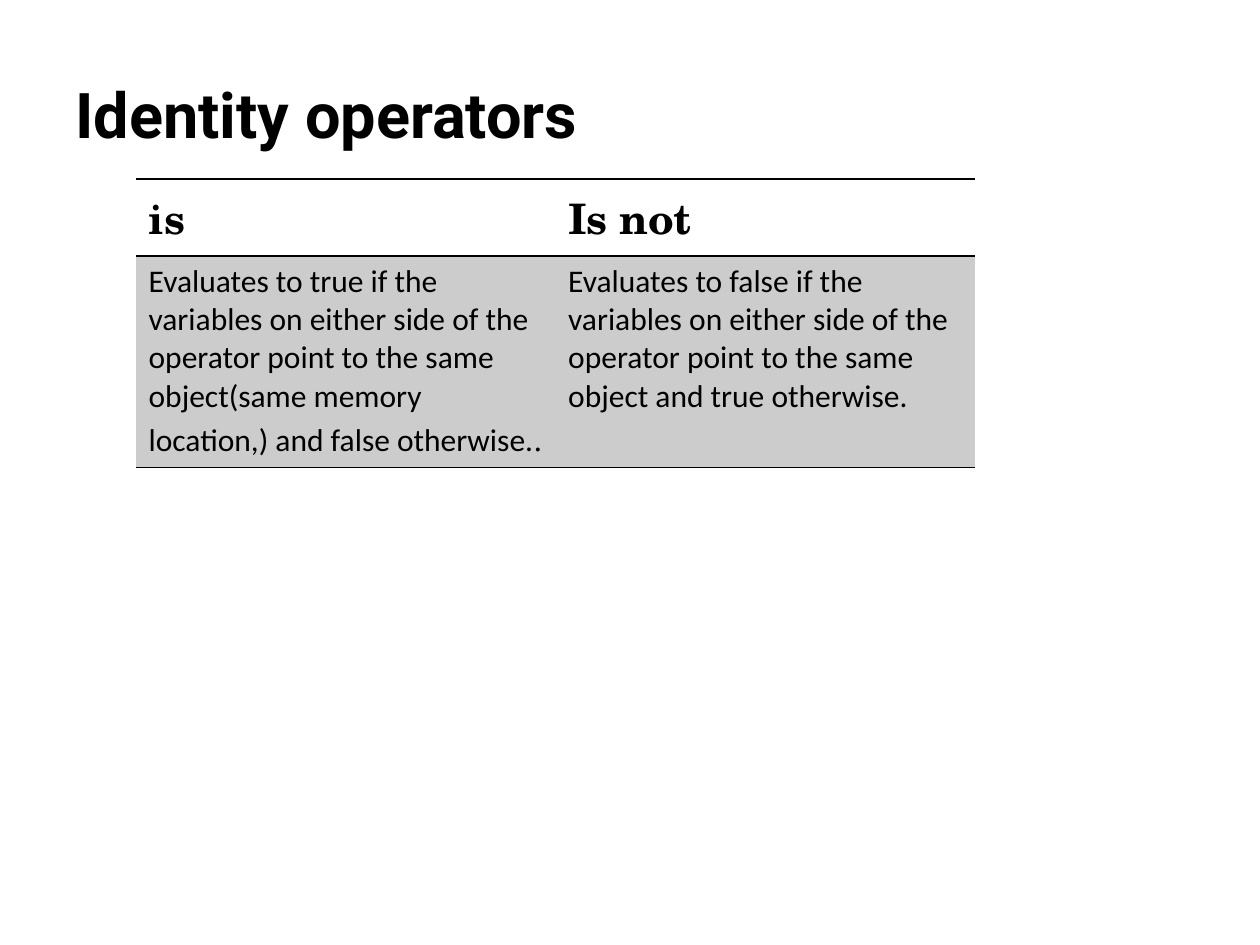
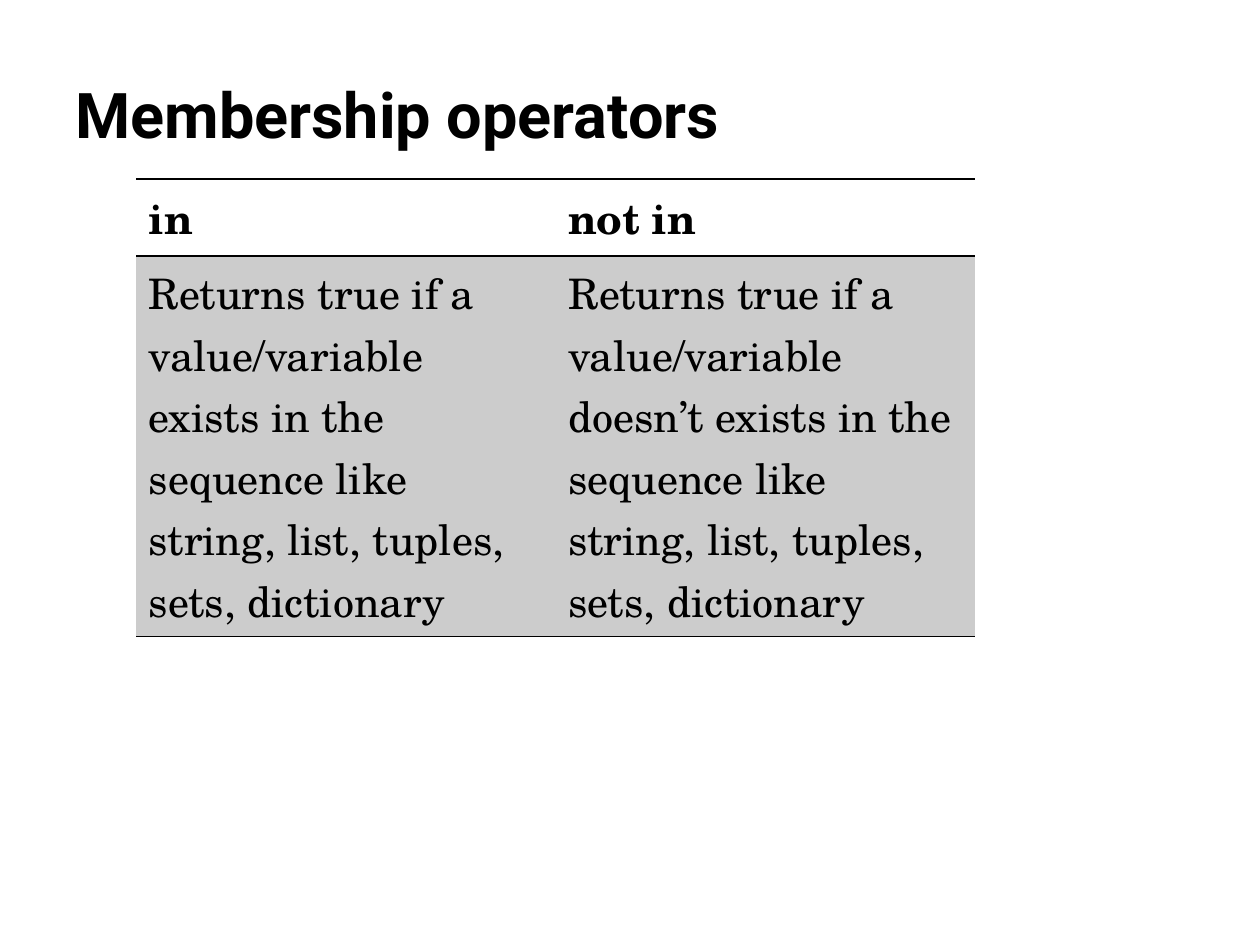
from lxml import etree
from pptx import Presentation
from pptx.dml.color import RGBColor
from pptx.enum import text
from pptx.oxml import ns
from pptx.util import Inches, Pt

BLACK = RGBColor(0x00, 0x00, 0x00)
GRAY = RGBColor(0xCC, 0xCC, 0xCC)
TITLE_FONT = "Roboto"
SERIF_FONT = "TeX Gyre Schola"
SANS_FONT = "Calibri"
COLUMN_WIDTH = 3.33
HEADER_HEIGHT = 0.61


def add_text(frame, content, font=SERIF_FONT, size=24, bold=False):
    run = frame.paragraphs[0].add_run()
    run.text = content
    run.font.name = font
    run.font.size = Pt(size)
    run.font.bold = bold
    run.font.color.rgb = BLACK


def set_borders(cell, ruled_sides):
    properties = cell._tc.get_or_add_tcPr()
    for side in ("lnL", "lnR", "lnT", "lnB"):
        line = etree.SubElement(properties, ns.qn(f"a:{side}"), w=str(Pt(1)))
        if side in ruled_sides:
            fill = etree.SubElement(line, ns.qn("a:solidFill"))
            etree.SubElement(fill, ns.qn("a:srgbClr"), val=str(BLACK))
        else:
            etree.SubElement(line, ns.qn("a:noFill"))


operator_slides = [
    ("Identity operators", 1.68, [
        ("is", [
            ("Evaluates to true if the variables on either side of the operator point to the same "
             "object(same memory location,) and false otherwise.", SANS_FONT, 18),
            (".", SERIF_FONT, 18),
        ]),
        ("Is not", [
            ("Evaluates to false if the variables on either side of the operator point to the same "
             "object and true otherwise.", SANS_FONT, 18),
        ]),
    ]),
    ("Membership operators", 3.02, [
        ("in", [
            ("Returns true if a value/variable exists in the sequence like "
             "string, list, tuples, sets, dictionary", SERIF_FONT, 24),
        ]),
        ("not in", [
            ("Returns true if a value/variable doesn’t exists in the sequence like "
             "string, list, tuples, sets, dictionary", SERIF_FONT, 24),
        ]),
    ]),
]

presentation = Presentation()
presentation.slide_width = Inches(10)
presentation.slide_height = Inches(7.5)

for title, body_height, operators in operator_slides:
    slide = presentation.slides.add_slide(presentation.slide_layouts[6])

    title_box = slide.shapes.add_textbox(Inches(0.5), Inches(0.08), Inches(7.42), Inches(1.17))
    title_box.text_frame.word_wrap = True
    title_box.text_frame.vertical_anchor = text.MSO_ANCHOR.BOTTOM
    add_text(title_box.text_frame, title, font=TITLE_FONT, size=36, bold=True)

    table = slide.shapes.add_table(
        2, len(operators), Inches(1.08), Inches(1.42),
        Inches(COLUMN_WIDTH * len(operators)), Inches(HEADER_HEIGHT + body_height)).table
    table.first_row = False
    table.horz_banding = False
    table.rows[0].height = Inches(HEADER_HEIGHT)
    table.rows[1].height = Inches(body_height)

    for column, (operator, description) in enumerate(operators):
        table.columns[column].width = Inches(COLUMN_WIDTH)

        header = table.cell(0, column)
        set_borders(header, ("lnT", "lnB"))
        header.fill.background()
        add_text(header.text_frame, operator, bold=True)

        body = table.cell(1, column)
        set_borders(body, ("lnT", "lnB"))
        body.fill.solid()
        body.fill.fore_color.rgb = GRAY
        for content, font, size in description:
            add_text(body.text_frame, content, font=font, size=size)

presentation.save("out.pptx")
